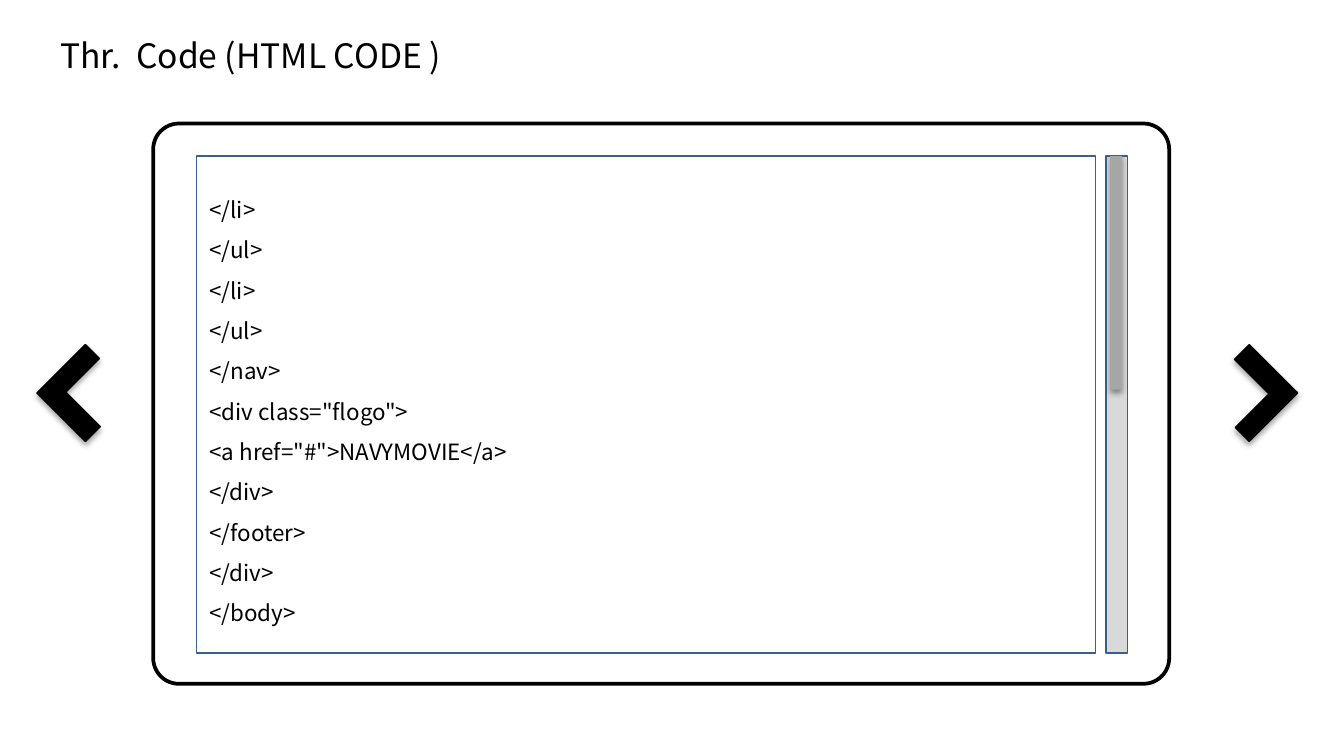
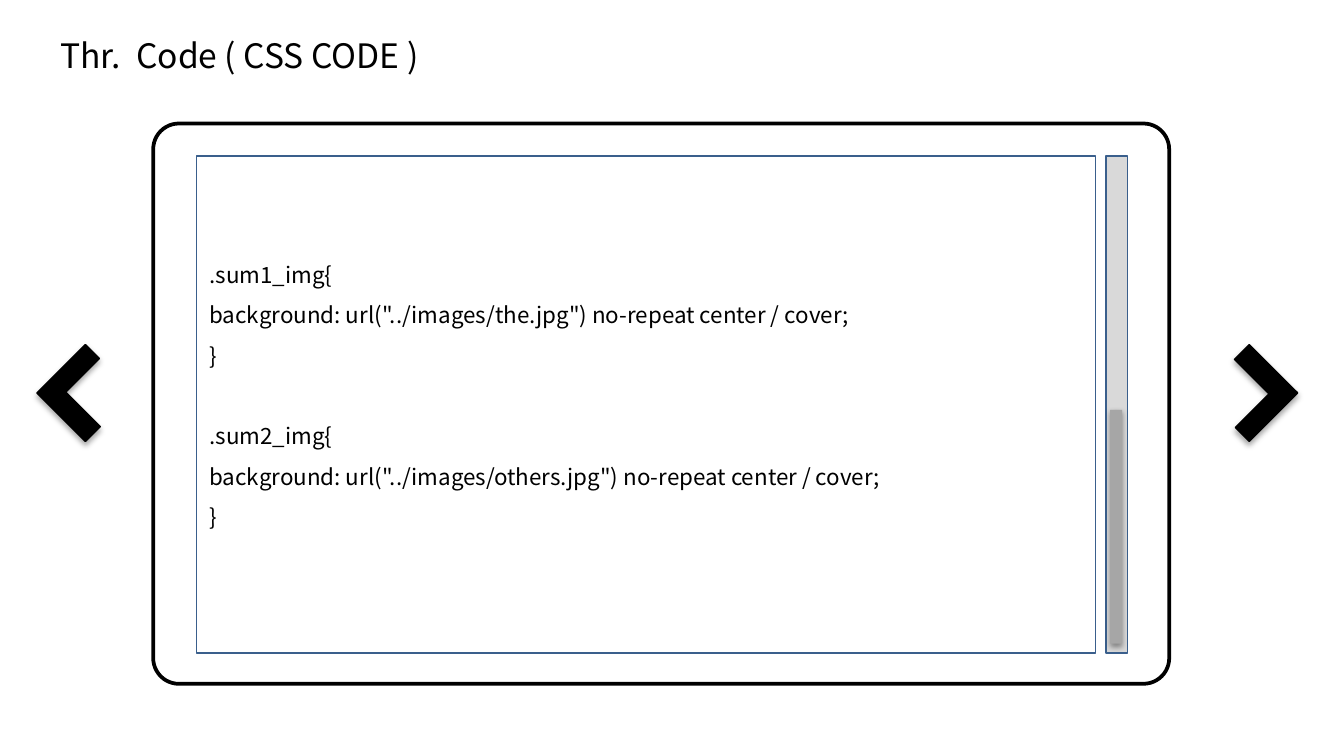
from dataclasses import dataclass

from lxml.etree import SubElement
from pptx import Presentation
from pptx.dml.color import RGBColor
from pptx.enum.shapes import MSO_SHAPE
from pptx.enum.text import MSO_ANCHOR, MSO_AUTO_SIZE, PP_ALIGN
from pptx.oxml.ns import qn
from pptx.util import Pt


@dataclass(frozen=True)
class Theme:
    font: str = "Noto Sans CJK KR"
    title_size: float = 18
    code_size: float = 12
    ink: str = "000000"
    paper: str = "FFFFFF"
    border: str = "3A5F8C"
    track: str = "D9D9D9"
    thumb: str = "A6A6A6"


THEME = Theme()
PANEL_TOP, PANEL_HEIGHT = 83.5, 266.4
BLOCK_GAP = 21.6
ARROW_SHADOW = (35, 1.8)
THUMB_SHADOW = (38, 1.6)

HTML_BLOCKS = [[
    "</li>", "</ul>", "</li>", "</ul>", "</nav>",
    '<div class="flogo">', '<a href="#">NAVYMOVIE</a>',
    "</div>", "</footer>", "</div>", "</body>",
]]
CSS_BLOCKS = [
    [f".{name}{{",
     f'background: url("../images/{image}.jpg") no-repeat center / cover;',
     "}"]
    for name, image in (("sum1_img", "the"), ("sum2_img", "others"))
]


def set_format(target, values):
    for name, value in values.items():
        setattr(target, name, value)


def place(sp, left, top, width, height):
    set_format(sp, {"left": Pt(left), "top": Pt(top),
                    "width": Pt(width), "height": Pt(height)})


def add_shadow(sp, alpha, distance):
    effects = sp._element.spPr.find(qn("a:effectLst"))
    shadow = SubElement(effects, qn("a:outerShdw"), {
        "blurRad": str(Pt(3.1)), "dist": str(Pt(distance)),
        "dir": "5400000", "algn": "t", "rotWithShape": "0"})
    color = SubElement(shadow, qn("a:srgbClr"), val=THEME.ink)
    SubElement(color, qn("a:alpha"), val=str(alpha * 1000))


def add_box(s, kind, box, fill, line=None, weight=0.75, adjust=(), shadow=None):
    sp = s.shapes.add_shape(kind, *map(Pt, box))
    sp.shadow.inherit = False
    sp.fill.solid()
    sp.fill.fore_color.rgb = RGBColor.from_string(fill)
    if line:
        sp.line.color.rgb = RGBColor.from_string(line)
        sp.line.width = Pt(weight)
    else:
        sp.line.fill.background()
    for i, value in enumerate(adjust):
        sp.adjustments[i] = value
    if shadow:
        add_shadow(sp, *shadow)
    return sp


def write_line(p, text, size, **paragraph_format):
    set_format(p, {"alignment": PP_ALIGN.LEFT, **paragraph_format})
    r = p.add_run()
    r.text = text
    set_format(r.font, {"name": THEME.font, "size": Pt(size)})
    r.font.color.rgb = RGBColor.from_string(THEME.ink)


def add_title(s, text):
    sp = s.shapes.title
    place(sp, 25.2, 15.1, 493.2, 28.8)
    tf = sp.text_frame
    set_format(tf, {"word_wrap": True, "vertical_anchor": MSO_ANCHOR.TOP,
                    "auto_size": MSO_AUTO_SIZE.SHAPE_TO_FIT_TEXT})
    write_line(tf.paragraphs[0], text, THEME.title_size)


def add_arrow(s, left, rotation):
    sp = add_box(s, MSO_SHAPE.CORNER, (left, 192.2, 36.7, 36.7), THEME.ink,
                 THEME.ink, adjust=(0.306, 0.289), shadow=ARROW_SHADOW)
    sp.rotation = rotation


def add_code(s, blocks, bottom_inset):
    sp = add_box(s, MSO_SHAPE.RECTANGLE, (105.1, PANEL_TOP, 481.7, PANEL_HEIGHT),
                 THEME.paper, THEME.border)
    tf = sp.text_frame
    set_format(tf, {"word_wrap": True, "vertical_anchor": MSO_ANCHOR.MIDDLE,
                    "margin_bottom": Pt(bottom_inset)})
    lines = [(text, BLOCK_GAP if b and not i else 0)
             for b, block in enumerate(blocks) for i, text in enumerate(block)]
    for n, (text, gap) in enumerate(lines):
        p = tf.add_paragraph() if n else tf.paragraphs[0]
        write_line(p, text, THEME.code_size, line_spacing=1.5, space_before=Pt(gap))


def add_scrollbar(s, thumb_top):
    add_box(s, MSO_SHAPE.RECTANGLE, (592.6, PANEL_TOP, 11.5, PANEL_HEIGHT),
            THEME.track, THEME.border)
    add_box(s, MSO_SHAPE.RECTANGLE, (594.7, thumb_top, 6.5, 125.3),
            THEME.thumb, shadow=THUMB_SHADOW)


def add_code_slide(prs, title, blocks, thumb_top, bottom_inset=3.6):
    s = prs.slides.add_slide(prs.slide_layouts[5])
    add_title(s, title)
    add_arrow(s, 27.4, 45)
    add_arrow(s, 650.9, 225)
    add_box(s, MSO_SHAPE.ROUNDED_RECTANGLE, (82.1, 66.2, 544.3, 300.2),
            THEME.paper, THEME.ink, weight=2, adjust=(0.046,))
    add_code(s, blocks, bottom_inset)
    add_scrollbar(s, thumb_top)


def main():
    prs = Presentation()
    set_format(prs, {"slide_width": Pt(720), "slide_height": Pt(405)})
    add_code_slide(prs, "Thr.  Code (HTML CODE )", HTML_BLOCKS, PANEL_TOP)
    add_code_slide(prs, "Thr.  Code ( CSS CODE )", CSS_BLOCKS, 219.6, bottom_inset=20.4)
    prs.save("out.pptx")


if __name__ == "__main__":
    main()
